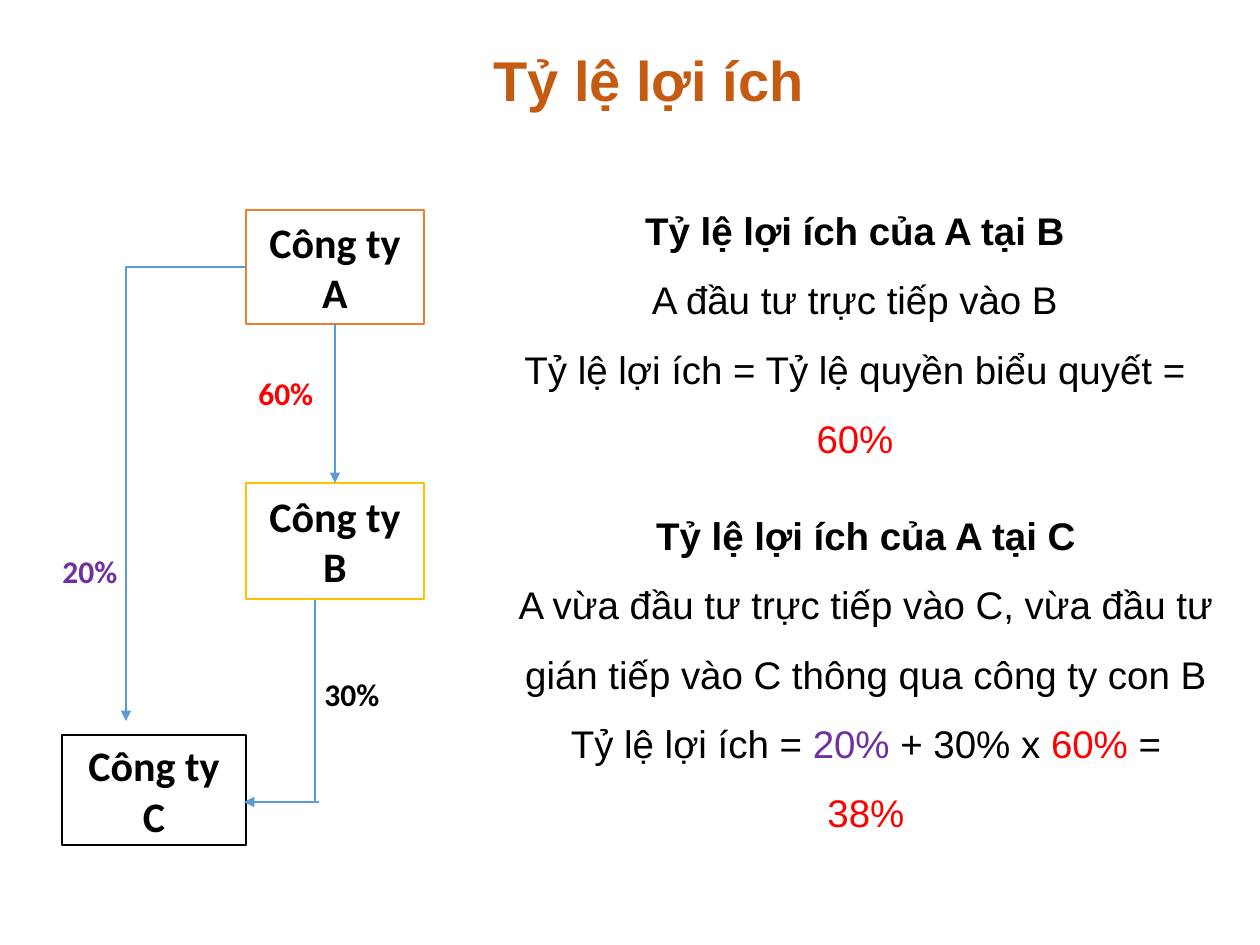
from lxml import etree
from pptx import Presentation
from pptx import util as u
from pptx.dml.color import RGBColor
from pptx.enum import shapes, text
from pptx.oxml.ns import qn

EMU_PER_PX = 914400 / 126

BLACK = RGBColor(0x00, 0x00, 0x00)
WHITE = RGBColor(0xFF, 0xFF, 0xFF)
RED = RGBColor(0xFF, 0x00, 0x00)
PURPLE = RGBColor(0x70, 0x30, 0xA0)
ORANGE = RGBColor(0xED, 0x7D, 0x31)
DARK_ORANGE = RGBColor(0xC5, 0x5A, 0x11)
GOLD = RGBColor(0xFF, 0xC0, 0x00)
BLUE = RGBColor(0x5B, 0x9B, 0xD5)


def px(*lengths):
    return [u.Emu(round(length * EMU_PER_PX)) for length in lengths]


class SlideBuilder:
    diagram_font = "Calibri"
    body_font = "Arial"

    def __init__(self, slide):
        self.slide = slide

    def set_font(self, paragraph, name, size, color, bold=False):
        font = paragraph.font
        font.name, font.size, font.bold = name, u.Pt(size), bold
        font.color.rgb = color

    def company(self, name, box, color):
        """Outlined box with a company name on two lines."""
        shape = self.slide.shapes.add_shape(shapes.MSO_SHAPE.RECTANGLE, *px(*box))
        shape.shadow.inherit = False
        shape.fill.solid()
        shape.fill.fore_color.rgb = WHITE
        shape.line.color.rgb = color
        shape.line.width = u.Pt(1)
        frame = shape.text_frame
        frame.word_wrap = False
        frame.vertical_anchor = text.MSO_ANCHOR.MIDDLE
        frame.text = f"Công ty\n{name}"
        for paragraph in frame.paragraphs:
            paragraph.alignment = text.PP_ALIGN.CENTER
            self.set_font(paragraph, self.diagram_font, 24, BLACK, True)

    def text_box(self, box):
        frame = self.slide.shapes.add_textbox(*px(*box)).text_frame
        frame.word_wrap = True
        return frame

    def share(self, label, box, color):
        """Percentage beside an ownership line."""
        paragraph = self.text_box(box).paragraphs[0]
        paragraph.text = label
        self.set_font(paragraph, self.diagram_font, 18, color, True)

    def title(self, label, box):
        frame = self.text_box(box)
        frame.vertical_anchor = text.MSO_ANCHOR.MIDDLE
        paragraph = frame.paragraphs[0]
        paragraph.text = label
        paragraph.alignment = text.PP_ALIGN.CENTER
        paragraph.line_spacing = 0.9
        self.set_font(paragraph, self.body_font, 32, DARK_ORANGE, True)

    def explanation(self, box, heading, *lines):
        """Bold heading, then lines made of (wording, colour) parts."""
        frame = self.text_box(box)
        for index, parts in enumerate([[(heading, BLACK)], *lines]):
            paragraph = frame.paragraphs[0] if index == 0 else frame.add_paragraph()
            paragraph.alignment = text.PP_ALIGN.CENTER
            paragraph.line_spacing = 1.5
            self.set_font(paragraph, self.body_font, 22, BLACK, index == 0)
            for wording, color in parts:
                run = paragraph.add_run()
                run.text = wording
                if color != BLACK:
                    run.font.color.rgb = color

    def connector(self, start, end, arrow=True, bent=False):
        kind = shapes.MSO_CONNECTOR.ELBOW if bent else shapes.MSO_CONNECTOR.STRAIGHT
        connector = self.slide.shapes.add_connector(kind, *px(*start, *end))
        connector.line.color.rgb = BLUE
        connector.line.width = u.Pt(1.5)
        properties = connector._element.spPr
        if bent:  # a single corner
            properties.find(qn("a:prstGeom")).set("prst", "bentConnector2")
        if arrow:
            line = properties.find(qn("a:ln"))
            etree.SubElement(line, qn("a:tailEnd"), type="triangle")
        etree.SubElement(properties, qn("a:effectLst"))


def main():
    presentation = Presentation()
    presentation.slide_width, presentation.slide_height = px(1260, 945)
    slide = presentation.slides.add_slide(presentation.slide_layouts[6])
    builder = SlideBuilder(slide)

    # Companies
    builder.company("A", (246, 210, 178, 114), ORANGE)
    builder.company("B", (246, 483, 178, 116), GOLD)
    builder.company("C", (62, 735, 184, 110), BLACK)

    # Ownership lines: A to B, A to C, B to C
    builder.connector((335, 324), (335, 483))
    builder.connector((246, 267), (126, 721), bent=True)
    builder.connector((315, 600), (315, 802), arrow=False)
    builder.connector((319, 802), (244, 802))

    # Shares held
    builder.share("20%", (50, 546, 107, 50), PURPLE)
    builder.share("60%", (246, 368, 100, 50), RED)
    builder.share("30%", (312, 669, 100, 50), BLACK)

    # Title and explanations
    builder.title("Tỷ lệ lợi ích", (87, 24, 1124, 118))
    builder.explanation(
        (500, 483, 732, 363),
        "Tỷ lệ lợi ích của A tại C",
        [("A vừa đầu tư trực tiếp vào C, vừa đầu tư gián tiếp vào C "
          "thông qua công ty con B", BLACK)],
        [("Tỷ lệ lợi ích = ", BLACK), ("20%", PURPLE), (" + 30% x ", BLACK),
         ("60% ", RED), ("=", BLACK)],
        [("38%", RED)],
    )
    builder.explanation(
        (489, 178, 732, 292),
        "Tỷ lệ lợi ích của A tại B",
        [("A đầu tư trực tiếp vào B", BLACK)],
        [("Tỷ lệ lợi ích = Tỷ lệ quyền biểu quyết = ", BLACK), ("60%", RED)],
    )

    presentation.save("out.pptx")


if __name__ == "__main__":
    main()
